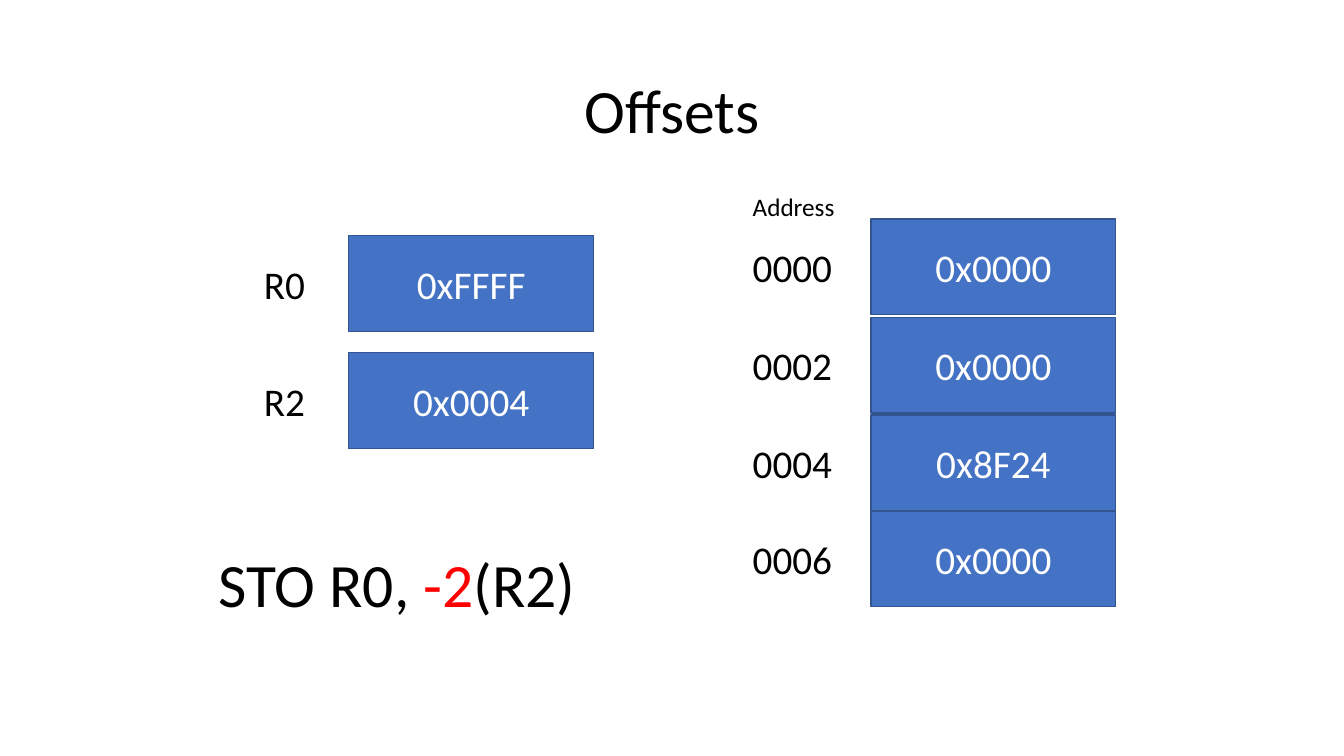
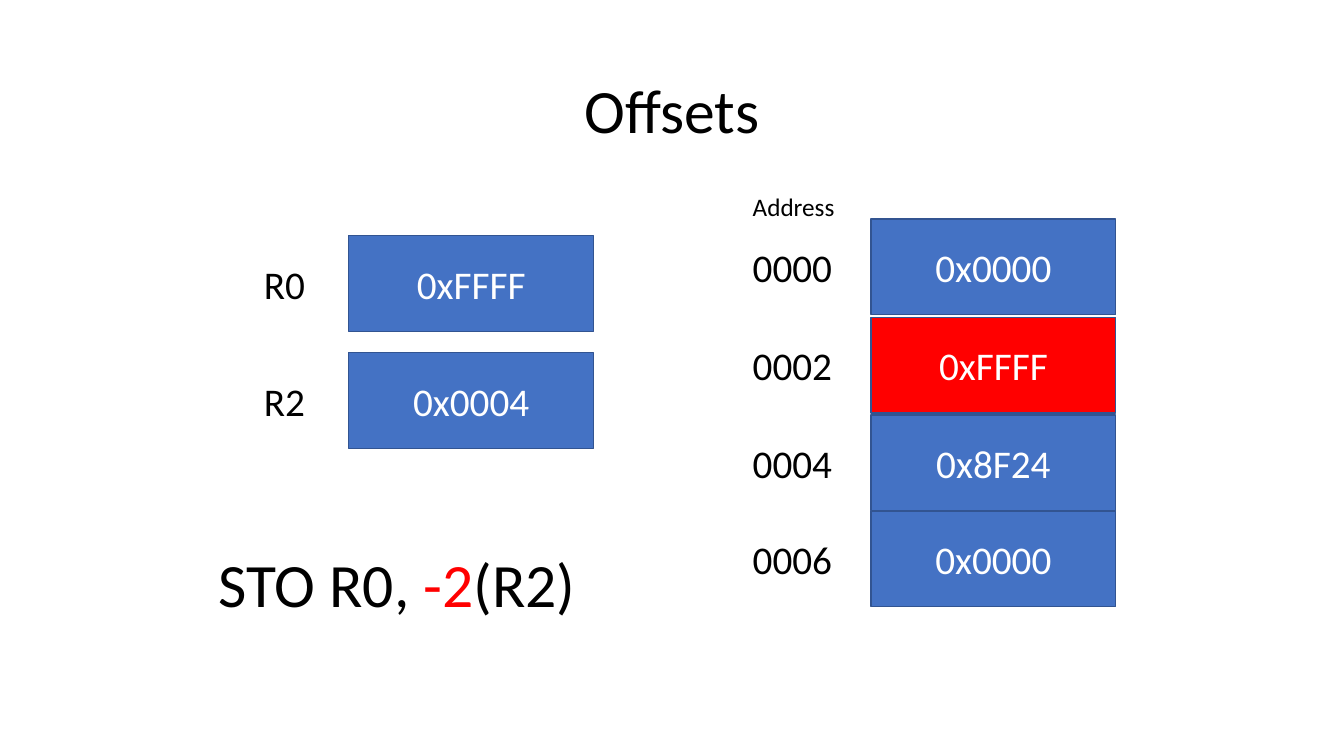
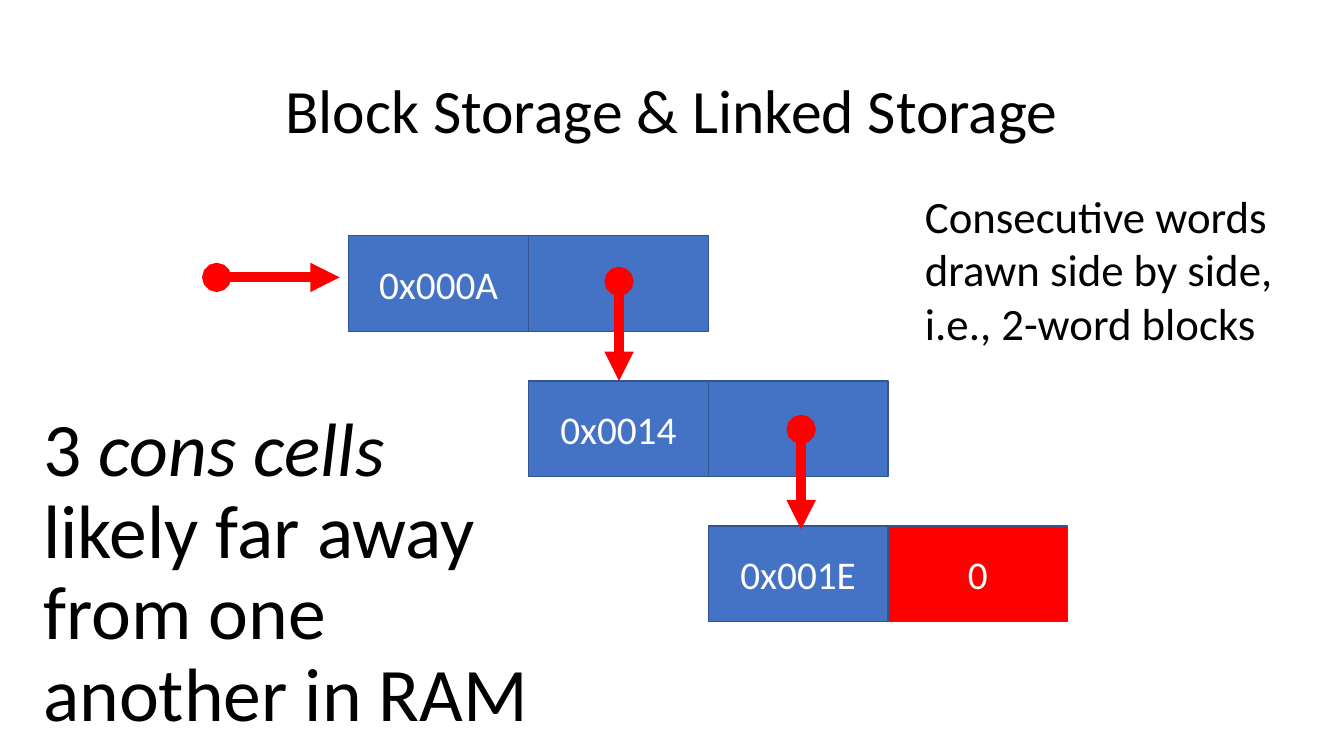
from dataclasses import dataclass

from lxml import etree
from pptx import Presentation
from pptx.dml.color import RGBColor
from pptx.enum import shapes, text
from pptx.oxml import ns
from pptx.util import Cm, Pt

BLACK = RGBColor(0x00, 0x00, 0x00)
WHITE = RGBColor(0xFF, 0xFF, 0xFF)
RED = RGBColor(0xFF, 0x00, 0x00)
BLUE = RGBColor(0x44, 0x72, 0xC4)
NAVY = RGBColor(0x32, 0x54, 0x91)
FONT = "Calibri"

HIGH = 2.41  # height of every cell
WIDE = 6.17  # width of a register or memory cell
HALF = 4.53  # width of one word in a cons cell
LABEL = 1.44  # height of a label beside a cell


@dataclass(frozen=True)
class Run:
    """A piece of text with its own look."""
    words: str
    color: RGBColor = BLACK
    italic: bool = False


@dataclass(frozen=True)
class Word:
    """A labelled memory word or register."""
    name: str
    value: str
    top: float
    fill: RGBColor = BLUE


@dataclass(frozen=True)
class Bank:
    """The column that a set of words stands in."""
    left: float
    label: float
    width: float


MEMORY = Bank(21.95, 18.72, 2.82)
REGS = Bank(8.79, 6.4, 1.68)
FILE = [Word("R0", "0xFFFF", 5.94), Word("R2", "0x0004", 8.89)]
TOPS = (5.52, 8.0, 10.46, 12.88)


def write(shape, *runs: Run, size: float, align=text.PP_ALIGN.LEFT,
          anchor=text.MSO_ANCHOR.TOP, wrap: bool = True,
          spacing: float = 1.0) -> None:
    """Fill a shape with one paragraph of formatted runs."""
    frame = shape.text_frame
    frame.auto_size = text.MSO_AUTO_SIZE.NONE
    frame.word_wrap = wrap
    frame.vertical_anchor = anchor
    para = frame.paragraphs[0]
    para.alignment = align
    para.line_spacing = spacing
    for run in runs:
        part = para.add_run()
        part.text = run.words
        font = part.font
        font.name, font.size, font.italic = FONT, Pt(size), run.italic
        font.color.rgb = run.color


def note(slide, left: float, top: float, width: float, height: float,
         *runs: Run, **style) -> None:
    """Add a text box."""
    box = slide.shapes.add_textbox(Cm(left), Cm(top), Cm(width), Cm(height))
    write(box, *runs, **style)


def cell(slide, left: float, top: float, width: float, value: str,
         fill: RGBColor = BLUE) -> None:
    """Draw one storage cell, with its value if it has one."""
    box = slide.shapes.add_shape(shapes.MSO_SHAPE.RECTANGLE, Cm(left),
                                 Cm(top), Cm(width), Cm(HIGH))
    box.shadow.inherit = False
    box.fill.solid()
    box.fill.fore_color.rgb = fill
    box.line.color.rgb = NAVY
    box.line.width = Pt(1)
    if value:
        write(box, Run(value, WHITE), size=28, align=text.PP_ALIGN.CENTER,
              anchor=text.MSO_ANCHOR.MIDDLE)


def column(slide, bank: Bank, words: list[Word]) -> None:
    """Draw words with their labels in one column."""
    for word in words:
        cell(slide, bank.left, word.top, WIDE, word.value, word.fill)
        note(slide, bank.label, word.top + (HIGH - LABEL) / 2, bank.width,
             LABEL, Run(word.name), size=28)


def arrow(slide, left: float, top: float, right: float, end: float) -> None:
    """Draw a red pointer from a dot to an arrowhead."""
    line = slide.shapes.add_connector(shapes.MSO_CONNECTOR.STRAIGHT, Cm(left),
                                      Cm(top), Cm(right), Cm(end))
    line.line.color.rgb = RED
    line.line.width = Pt(7)
    stroke = line.line._get_or_add_ln()
    for tag, kind in (("a:headEnd", "oval"), ("a:tailEnd", "triangle")):
        etree.SubElement(stroke, ns.qn(tag), type=kind)
    etree.SubElement(line._element.spPr, ns.qn("a:effectLst"))


def page(deck, title: str):
    """Add a slide with the shared title style."""
    slide = deck.slides.add_slide(deck.slide_layouts[5])
    head = slide.shapes.title
    head.left, head.top = Cm(2.33), Cm(1.01)
    head.width, head.height = Cm(29.21), Cm(3.68)
    write(head, Run(title), size=44, align=text.PP_ALIGN.CENTER,
          anchor=text.MSO_ANCHOR.MIDDLE, spacing=0.9)
    return slide


def offsets(deck, second: str, fill: RGBColor) -> None:
    """Show the store instruction, with the state of the second word."""
    slide = page(deck, "Offsets")
    values = ("0x0000", second, "0x8F24", "0x0000")
    fills = (BLUE, fill, BLUE, BLUE)
    column(slide, MEMORY, [
        Word(f"{2 * i:04}", value, top, tint)
        for i, (value, top, tint) in enumerate(zip(values, TOPS, fills))])
    note(slide, MEMORY.label, 4.7, 2.6, 1.03, Run("Address"), size=18,
         wrap=False)
    column(slide, REGS, FILE)
    note(slide, 3.86, 13.26, 12.3, 3.1, Run("STO R0, "), Run("-2", RED),
         Run("(R2)"), size=44, align=text.PP_ALIGN.CENTER,
         anchor=text.MSO_ANCHOR.MIDDLE, spacing=0.9)


def linked(deck) -> None:
    """Show three cons cells linked by pointers."""
    slide = page(deck, "Block Storage & Linked Storage")
    pairs = (("0x000A", "", BLUE), ("0x0014", "", BLUE), ("0x001E", "0", RED))
    for i, (value, link, fill) in enumerate(pairs):
        left, top = REGS.left + i * HALF, 5.94 + i * 3.66
        cell(slide, left, top, HALF, value)
        cell(slide, left + HALF, top, HALF, link, fill)
    arrow(slide, 5.46, 6.99, 8.56, 6.99)
    arrow(slide, 15.6, 7.09, 15.6, 9.6)
    arrow(slide, 20.19, 10.82, 20.19, 13.34)
    note(slide, 23.06, 4.62, 10.21, 4.37,
         Run("Consecutive words drawn side by side, i.e., 2-word blocks"),
         size=32)
    note(slide, 0.84, 9.91, 12.88, 9.14, Run("3 "),
         Run("cons cells ", italic=True),
         Run("likely far away from one another in RAM"), size=54,
         anchor=text.MSO_ANCHOR.MIDDLE, spacing=0.9)


def main() -> None:
    """Build and save the deck."""
    deck = Presentation()
    deck.slide_width, deck.slide_height = Cm(33.87), Cm(19.05)
    offsets(deck, "0x0000", BLUE)
    offsets(deck, "0xFFFF", RED)
    linked(deck)
    deck.save("out.pptx")


main()
